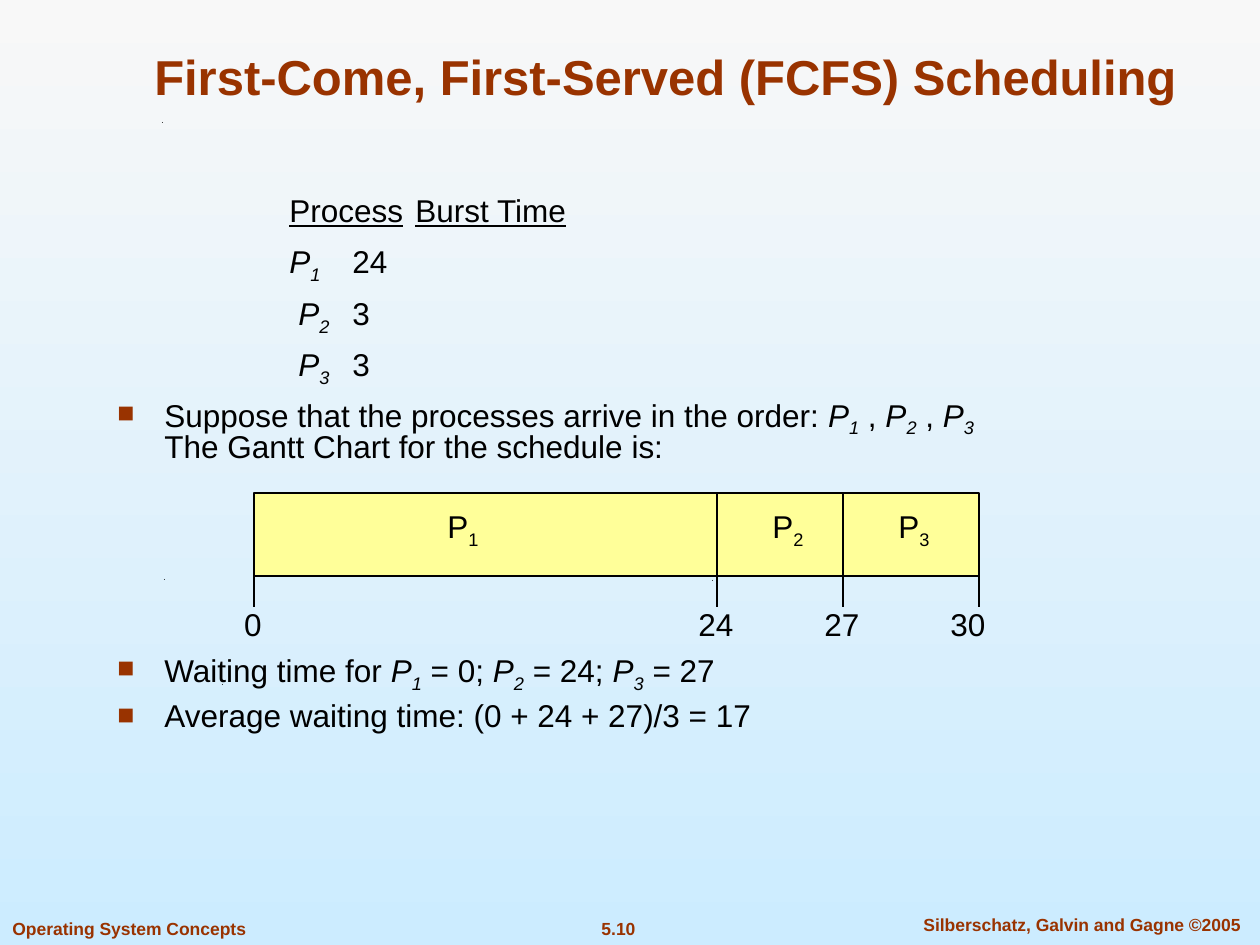
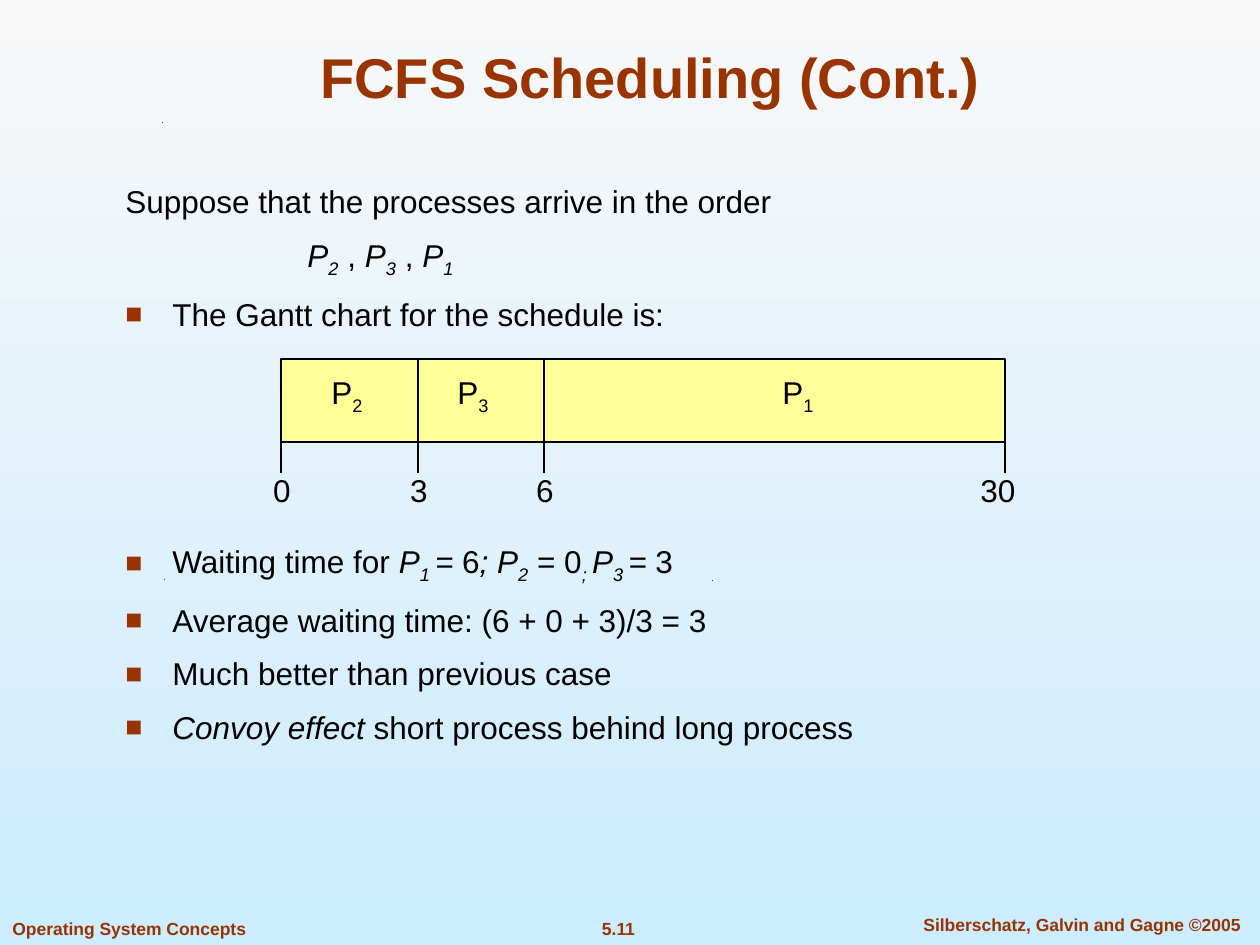
from typing import NamedTuple

from lxml import etree
from pptx import Presentation
from pptx.dml.color import RGBColor
from pptx.enum.shapes import MSO_CONNECTOR, MSO_SHAPE
from pptx.enum.text import MSO_ANCHOR, PP_ALIGN
from pptx.oxml.ns import qn
from pptx.slide import Slide
from pptx.text.text import TextFrame
from pptx.util import Emu, Pt

LEFT, CENTER = PP_ALIGN.LEFT, PP_ALIGN.CENTER
TOP, MIDDLE, BOTTOM = MSO_ANCHOR.TOP, MSO_ANCHOR.MIDDLE, MSO_ANCHOR.BOTTOM
RECT, STRAIGHT = MSO_SHAPE.RECTANGLE, MSO_CONNECTOR.STRAIGHT

SCALE = 914400 / 126
FONT = "Arial"
COLORS = {
    "rust": "993300",
    "ink": "000000",
    "bar": "FFFF99",
    "sky_top": "F8F8F8",
    "sky_end": "CCECFF",
}
SPECKS = [(222, 684), (164, 579), (712, 580), (162, 122)]
BAR_HIGH, TICK_HIGH = 83, 31
HANG = 47


class Box(NamedTuple):
    left: int
    top: int
    width: int
    height: int


class Bit(NamedTuple):
    text: str
    style: str = ""


class Line(NamedTuple):
    bits: list[Bit]
    gap: int = 0
    left: int = HANG
    first: int = -HANG
    mark: bool = True
    tab: int = 0


class Job(NamedTuple):
    number: str
    mid: int


class Tick(NamedTuple):
    time: str
    at: int
    mid: int


class Gantt(NamedTuple):
    top: int
    jobs: list[Job]
    ticks: list[Tick]


class Page(NamedTuple):
    number: str
    title: str
    size: int
    head: Box
    body: Box
    pitch: float
    lines: list[Line]
    gantt: Gantt


def px(count: float) -> Emu:
    return Emu(round(count * SCALE))


def tint(name: str) -> RGBColor:
    return RGBColor.from_string(COLORS[name])


def proc(number: str) -> list[Bit]:
    return [Bit("P", "i"), Bit(number, "is")]


def add_frame(slide: Slide, box: Box, anchor: MSO_ANCHOR, wrap: bool) -> TextFrame:
    frame = slide.shapes.add_textbox(*map(px, box)).text_frame
    frame.word_wrap = wrap
    frame.vertical_anchor = anchor
    return frame


def add_bits(para, bits: list[Bit], size: int = 18, color: str = "ink", bold: bool = False) -> None:
    for bit in bits:
        if bit.text == "\n":
            para.add_line_break()
            continue
        run = para.add_run()
        run.text = bit.text
        font = run.font
        font.name, font.size, font.bold = FONT, Pt(size), bold
        font.color.rgb = tint(color)
        font.italic = "i" in bit.style
        font.underline = "u" in bit.style
        if "s" in bit.style:
            run._r.get_or_add_rPr().set("baseline", "-25000")


def add_label(slide: Slide, box: Box, bits: list[Bit], size: int = 18, color: str = "ink",
              bold: bool = False, align: PP_ALIGN = CENTER, anchor: MSO_ANCHOR = MIDDLE) -> None:
    para = add_frame(slide, box, anchor, True).paragraphs[0]
    para.alignment = align
    add_bits(para, bits, size, color, bold)


def add_mark(props) -> None:
    shade = etree.SubElement(props, qn("a:buClr"))
    etree.SubElement(shade, qn("a:srgbClr"), val=COLORS["rust"])
    etree.SubElement(props, qn("a:buSzPct"), val="90000")
    etree.SubElement(props, qn("a:buFont"), typeface=FONT)
    etree.SubElement(props, qn("a:buChar"), char="■")


def add_body(slide: Slide, page: Page) -> None:
    frame = add_frame(slide, page.body, TOP, True)
    for index, line in enumerate(page.lines):
        para = frame.add_paragraph() if index else frame.paragraphs[0]
        props = para._p.get_or_add_pPr()
        props.set("marL", str(px(line.left)))
        props.set("indent", str(px(line.first)))
        if line.mark:
            add_mark(props)
        if line.tab:
            stops = etree.SubElement(props, qn("a:tabLst"))
            etree.SubElement(stops, qn("a:tab"), pos=str(px(line.tab)), algn="l")
        para.line_spacing = page.pitch
        if line.gap:
            para.space_before = px(line.gap)
        add_bits(para, line.bits)


def add_rule(slide: Slide, at: int, top: int, end: int) -> None:
    rule = slide.shapes.add_connector(STRAIGHT, px(at), px(top), px(at), px(end))
    rule.line.color.rgb = tint("ink")
    rule.line.width = Pt(0.75)
    etree.SubElement(rule._element.spPr, qn("a:effectLst"))


def add_gantt(slide: Slide, gantt: Gantt) -> None:
    top, ticks = gantt.top, gantt.ticks
    start, end = ticks[0].at, ticks[-1].at
    bar = slide.shapes.add_shape(RECT, *map(px, Box(start, top, end - start, BAR_HIGH)))
    bar.shadow.inherit = False
    bar.fill.solid()
    bar.fill.fore_color.rgb = tint("bar")
    bar.line.color.rgb = tint("ink")
    bar.line.width = Pt(0.75)
    for job in gantt.jobs:
        add_label(slide, Box(job.mid - 30, top + 8, 60, 55), [Bit("P"), Bit(job.number, "s")])
    base = top + BAR_HIGH
    for tick in ticks:
        if start < tick.at < end:
            add_rule(slide, tick.at, top, base)
        add_rule(slide, tick.at, base, base + TICK_HIGH)
        add_label(slide, Box(tick.mid - 30, top + 106, 60, 50), [Bit(tick.time)])


def add_base(slide: Slide, number: str) -> None:
    fill = slide.background.fill
    fill.gradient()
    fill.gradient_angle = 270
    for stop, name in zip(fill.gradient_stops, ("sky_top", "sky_end")):
        stop.color.rgb = tint(name)
    for left, top in SPECKS:
        pen = slide.shapes.build_freeform(px(left), px(top + 1))
        pen.add_line_segments([(px(left + 1), px(top)), (px(left + 1), px(top + 1))])
        speck = pen.convert_to_shape()
        speck.shadow.inherit = False
        speck.fill.solid()
        speck.fill.fore_color.rgb = tint("ink")
        speck.line.fill.background()
    for text, box, align in (
        (number, Box(557, 911, 123, 34), CENTER),
        ("Silberschatz, Galvin and Gagne ©2005", Box(895, 907, 374, 34), CENTER),
        ("Operating System Concepts", Box(0, 911, 260, 34), LEFT),
    ):
        add_label(slide, box, [Bit(text)], 10, "rust", True, align)


def row(number: str, time: str, gap: int, tab: int) -> Line:
    first = 0 if number == "1" else 9
    return Line([*proc(number), Bit("\t"), Bit(time)], gap, 172, first, False, tab)


PAGES = [
    Page(
        "5.10", "First-Come, First-Served (FCFS) Scheduling", 28,
        Box(91, 40, 1149, 72), Box(105, 192, 1042, 582), 0.8,
        [
            Line([Bit("Process", "u"), Bit("\t"), Bit("Burst Time", "u")], 0, 172, 0, False, 126),
            row("1", "24", 18, 126),
            row("2", "3", 17, 126),
            row("3", "3", 17, 131),
            Line([Bit("Suppose that the processes arrive in the order: "), *proc("1"), Bit(" , "),
                  *proc("2"), Bit(" , "), *proc("3"), Bit("\n"),
                  Bit("The Gantt Chart for the schedule is:")], 16),
            Line([Bit("Waiting time for "), *proc("1"), Bit(" = 0; "), *proc("2"),
                  Bit(" = 24; "), *proc("3"), Bit(" = 27")], 191),
            Line([Bit("Average waiting time: (0 + 24 + 27)/3 = 17")], 14),
        ],
        Gantt(493, [Job("1", 463), Job("2", 788), Job("3", 914)],
              [Tick("0", 254, 253), Tick("24", 717, 716),
               Tick("27", 843, 842), Tick("30", 979, 968)]),
    ),
    Page(
        "5.11", "FCFS Scheduling (Cont.)", 32,
        Box(94, 32, 1113, 84), Box(113, 176, 1013, 617), 1.0,
        [
            Line([Bit("Suppose that the processes arrive in the order")], mark=False),
            Line([*proc("2"), Bit(" , "), *proc("3"), Bit(" , "), *proc("1")], 16, 182, 0, False),
            Line([Bit("The Gantt chart for the schedule is:")], 16),
            Line([Bit("Waiting time for "), *proc("1"), Bit(" ", "is"), Bit("=", "i"), Bit(" 6"),
                  Bit("; ", "i"), *proc("2"), Bit(" = 0"), Bit("; ", "is"), *proc("3"),
                  Bit(" ", "is"), Bit("= ", "i"), Bit("3")], 209),
            Line([Bit("Average waiting time: (6 + 0 + 3)/3 = 3")], 16),
            Line([Bit("Much better than previous case")], 16),
            Line([Bit("Convoy effect", "i"), Bit(" short process behind long process")], 16),
        ],
        Gantt(359, [Job("2", 347), Job("3", 473), Job("1", 798)],
              [Tick("0", 281, 282), Tick("3", 418, 419),
               Tick("6", 544, 545), Tick("30", 1005, 998)]),
    ),
]


def main() -> None:
    deck = Presentation()
    deck.slide_width, deck.slide_height = px(1260), px(945)
    for page in PAGES:
        slide = deck.slides.add_slide(deck.slide_layouts[6])
        add_base(slide, page.number)
        add_label(slide, page.head, [Bit(page.title)], page.size, "rust", True, anchor=BOTTOM)
        add_body(slide, page)
        add_gantt(slide, page.gantt)
    deck.save("out.pptx")


if __name__ == "__main__":
    main()
